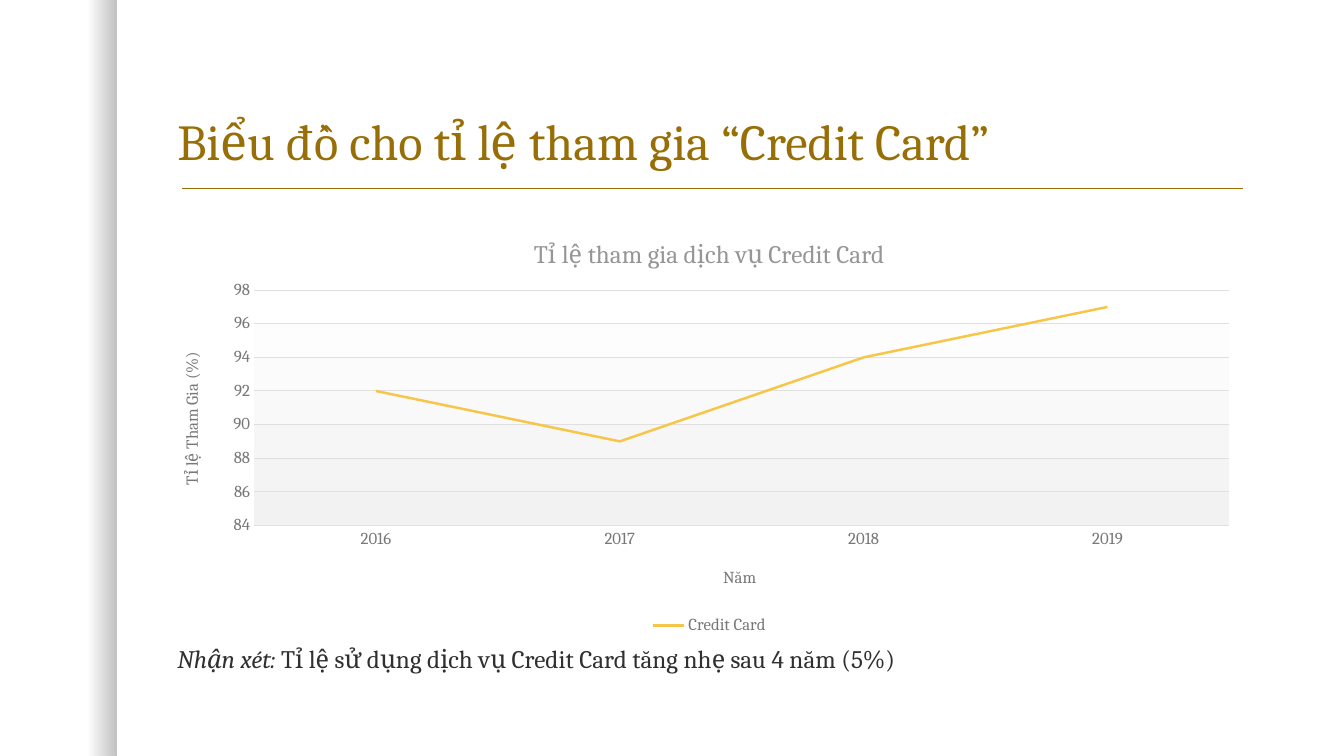
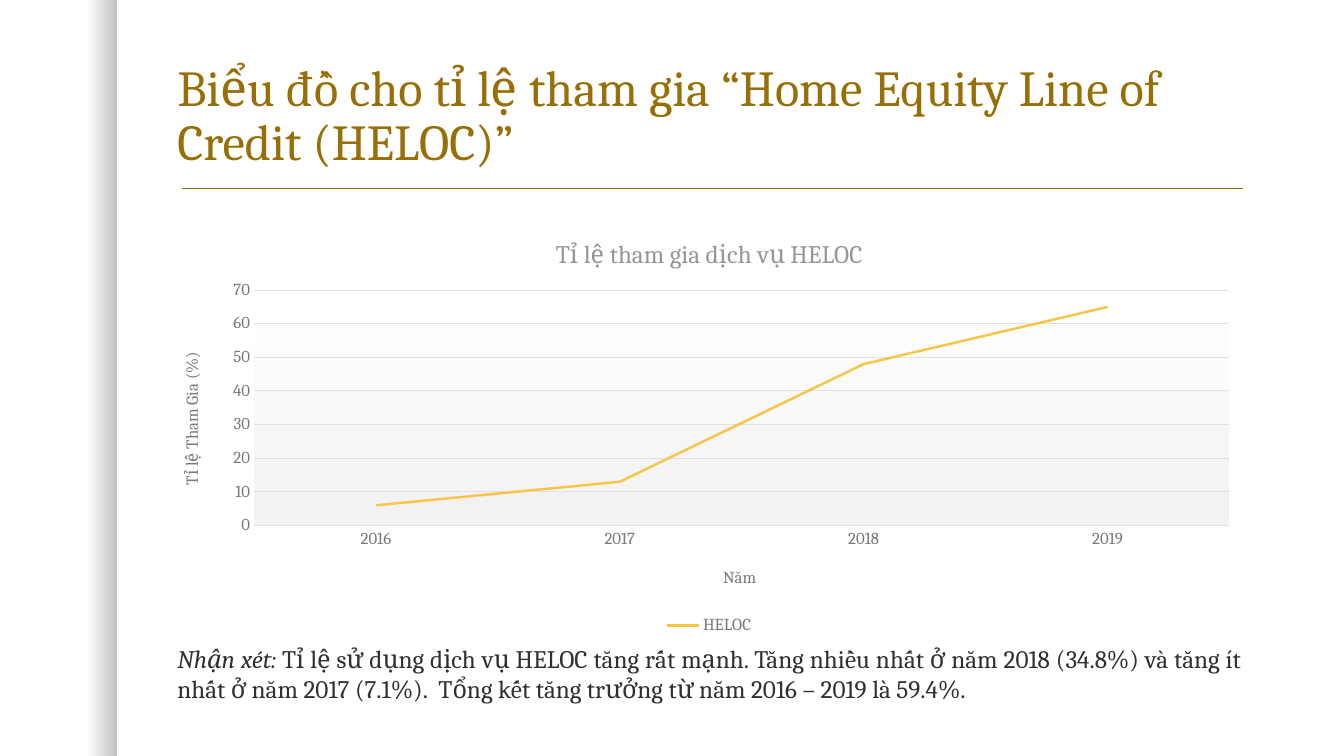
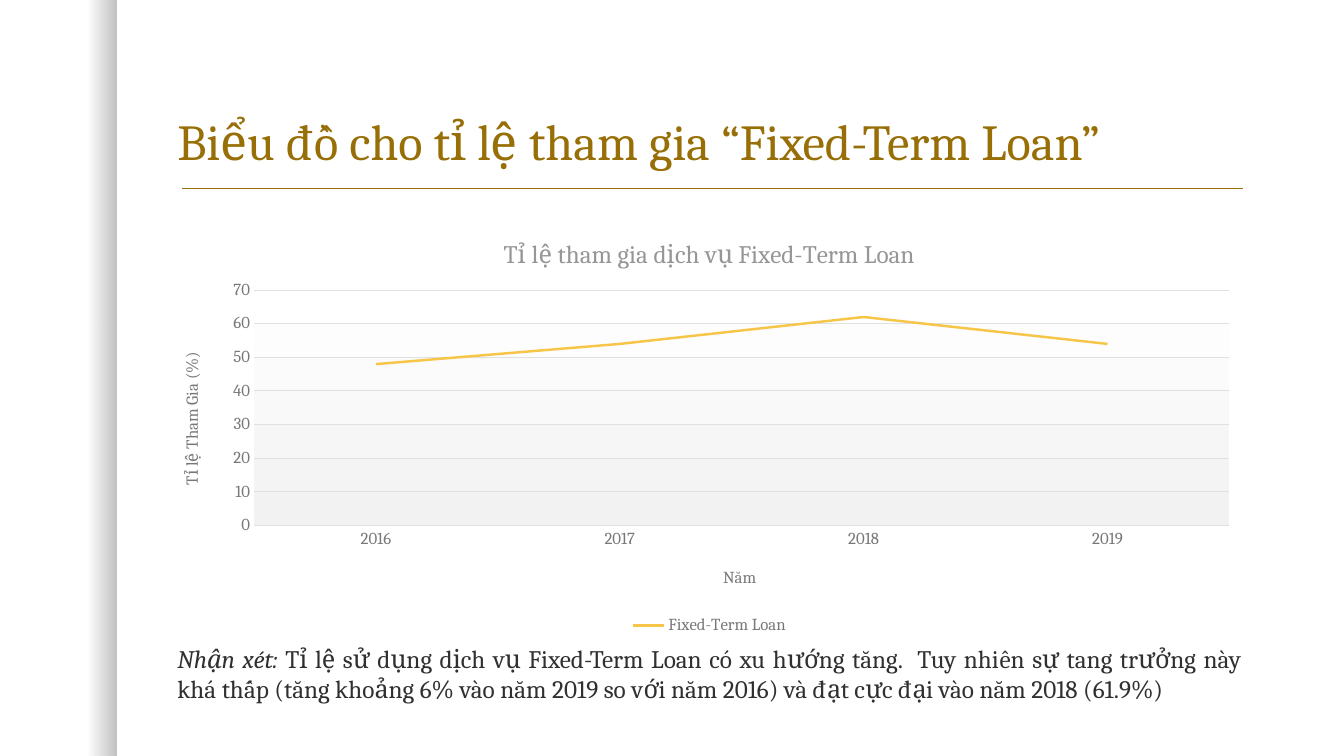
"""Build three slides on the participation rate of banking services."""
from pptx import Presentation
from pptx.chart.data import CategoryChartData
from pptx.dml.color import RGBColor
from pptx.enum.chart import XL_CHART_TYPE as ChartType, XL_LEGEND_POSITION as LegendPos, XL_TICK_MARK as Tick
from pptx.enum.shapes import MSO_CONNECTOR as Connector, MSO_SHAPE as Shape
from pptx.enum.text import MSO_ANCHOR as Anchor, PP_ALIGN as Align
from pptx.oxml import parse_xml
from pptx.oxml.ns import nsdecls, qn
from pptx.util import Inches, Pt

YEARS = ["2016", "2017", "2018", "2019"]
SERVICES = [
    {
        "title": "Credit Card",
        "short": "Credit Card",
        "rates": [92, 89, 94, 97],
        "scale": (84, 98, 2),
        "remark": "Tỉ lệ sử dụng dịch vụ Credit Card tăng nhẹ sau 4 năm (5%)",
    },
    {
        "title": "Home Equity Line of Credit (HELOC)",
        "short": "HELOC",
        "rates": [6, 13, 48, 65],
        "scale": (0, 70, 10),
        "remark": "Tỉ lệ sử dụng dịch vụ HELOC tăng rất mạnh. Tăng nhiều nhất ở năm 2018 (34.8%) "
                  "và tăng ít nhất ở năm 2017 (7.1%).  Tổng kết tăng trưởng từ năm 2016 – 2019 là 59.4%.",
    },
    {
        "title": "Fixed-Term Loan",
        "short": "Fixed-Term Loan",
        "rates": [48, 54, 62, 54],
        "scale": (0, 70, 10),
        "remark": "Tỉ lệ sử dụng dịch vụ Fixed-Term Loan có xu hướng tăng.  Tuy nhiên sự tang trưởng này "
                  "khá thấp (tăng khoảng 6% vào năm 2019 so với năm 2016) và đạt cực đại vào năm 2018 (61.9%)",
    },
]

FONT = "Cambria"
GOLD, YELLOW, INK = "986F07", "F7C547", "303030"
AXIS_GREY, TITLE_GREY, GRID_GREY = "787878", "969696", "E0E0E0"
LEFT, WIDTH = Inches(1.66), Inches(10.75)


def rgb(value):
    """Return the colour of a hex string."""
    return RGBColor.from_string(value)


def style_font(font, size, color):
    """Apply the shared typeface with a size and colour."""
    font.name, font.size, font.bold = FONT, Pt(size), False
    font.color.rgb = rgb(color)


def style_line(line, color, width):
    """Give a line its colour and width."""
    line.color.rgb = rgb(color)
    line.width = Pt(width)


def gradient(stops, angle):
    """Return a linear gradient made of (position, colour, opacity) stops."""
    marks = "".join(
        f'<a:gs pos="{place * 1000}"><a:srgbClr val="{color}">'
        f'<a:alpha val="{opacity * 1000}"/></a:srgbClr></a:gs>'
        for place, color, opacity in stops
    )
    return (f'<a:gradFill {nsdecls("a")} rotWithShape="1"><a:gsLst>{marks}</a:gsLst>'
            f'<a:lin ang="{angle * 60000}" scaled="0"/></a:gradFill>')


def set_layout(element, index, target="", **fractions):
    """Place a chart part by fractions of the chart area."""
    for old in element.findall(qn("c:layout")):
        element.remove(old)
    inner = f'<c:layoutTarget val="{target}"/>' if target else ""
    modes = '<c:xMode val="edge"/><c:yMode val="edge"/>'
    sizes = "".join(f'<c:{key} val="{value}"/>' for key, value in fractions.items())
    element.insert(index, parse_xml(
        f'<c:layout {nsdecls("c")}><c:manualLayout>{inner}{modes}{sizes}</c:manualLayout></c:layout>'))


def add_frame(slide):
    """Draw the shaded left edge and the rule below the title."""
    edge = slide.shapes.add_shape(Shape.RECTANGLE, 0, 0, Inches(1.16), Inches(7.5))
    edge.shadow.inherit = False
    edge.line.fill.background()
    properties = edge._element.spPr
    properties.insert(2, parse_xml(gradient([(75, "000000", 0), (100, "000000", 25)], 0)))
    rule = slide.shapes.add_connector(
        Connector.STRAIGHT, Inches(1.81), Inches(1.87), Inches(12.33), Inches(1.87))
    style_line(rule.line, GOLD, 1)
    rule._element.spPr.append(parse_xml(f'<a:effectLst {nsdecls("a")}/>'))


def add_text(slide, top, height, size, color):
    """Add a wrapped text box in the content column and return its frame and paragraph."""
    frame = slide.shapes.add_textbox(LEFT, Inches(top), WIDTH, Inches(height)).text_frame
    frame.word_wrap = True
    paragraph = frame.paragraphs[0]
    style_font(paragraph.font, size, color)
    return frame, paragraph


def add_title(slide, service):
    """Write the slide title."""
    frame, heading = add_text(slide, 0.42, 1.33, 36, GOLD)
    frame.vertical_anchor = Anchor.BOTTOM
    heading.line_spacing = 0.9
    heading.text = f"Biểu đồ cho tỉ lệ tham gia “{service}”"


def add_remark(slide, remark):
    """Write the comment below the chart."""
    _, paragraph = add_text(slide, 6.33, 0.71, 18, INK)
    paragraph.alignment = Align.JUSTIFY
    label = paragraph.add_run()
    label.text = "Nhận xét: "
    label.font.italic = True
    paragraph.add_run().text = remark


def label_chart_part(part, text, size, color):
    """Title a chart or axis and return the text frame."""
    frame = part.text_frame
    frame.text = text
    style_font(frame.paragraphs[0].font, size, color)
    return frame


def add_rate_chart(slide, service, rates, scale):
    """Draw the yearly rate as a line chart."""
    data = CategoryChartData(number_format="General")
    data.categories = YEARS
    data.add_series(service, rates)
    chart = slide.shapes.add_chart(
        ChartType.LINE, LEFT, Inches(2.17), WIDTH, Inches(4.17), data).chart
    style_font(chart.font, 10, INK)
    label_chart_part(chart.chart_title, f"Tỉ lệ tham gia dịch vụ {service}", 18, TITLE_GREY)
    chart.has_legend = True
    chart.legend.position = LegendPos.BOTTOM
    chart.legend.include_in_layout = False
    style_font(chart.legend.font, 12, AXIS_GREY)

    years, percent = chart.category_axis, chart.value_axis
    for axis, text, x, y in [(years, "Năm", 0.51, 0.82), (percent, "Tỉ lệ Tham Gia (%)", 0.01, 0.31)]:
        frame = label_chart_part(axis.axis_title, text, 12, AXIS_GREY)
        set_layout(axis.axis_title._element, 1, x=x, y=y)
        style_font(axis.tick_labels.font, 12, AXIS_GREY)
        axis.major_tick_mark = axis.minor_tick_mark = Tick.NONE
    frame._txBody.bodyPr.set("rot", "-5400000")
    frame._txBody.bodyPr.set("vert", "horz")
    style_line(years.format.line, GRID_GREY, 0.75)
    percent.format.line.fill.background()
    style_line(percent.major_gridlines.format.line, GRID_GREY, 0.75)
    percent.minimum_scale, percent.maximum_scale, percent.major_unit = scale

    chart.plots[0].vary_by_categories = False
    rate_line = chart.plots[0].series[0]
    rate_line.smooth = False
    style_line(rate_line.format.line, YELLOW, 1.75)
    plot_area = chart._chartSpace.chart.plotArea
    set_layout(plot_area, 0, "inner", x=0.08, y=0.17, w=0.9, h=0.56)
    shade = gradient([(0, "FFFFFF", 100), (100, "F2F2F2", 100)], 90)
    plot_area.append(parse_xml(f'<c:spPr {nsdecls("c", "a")}>{shade}</c:spPr>'))


def main():
    """Build and save the presentation."""
    deck = Presentation()
    deck.slide_width, deck.slide_height = Inches(13.33), Inches(7.5)
    for service in SERVICES:
        slide = deck.slides.add_slide(deck.slide_layouts[6])
        add_frame(slide)
        add_title(slide, service["title"])
        add_rate_chart(slide, service["short"], service["rates"], service["scale"])
        add_remark(slide, service["remark"])
    deck.save("out.pptx")


if __name__ == "__main__":
    main()
